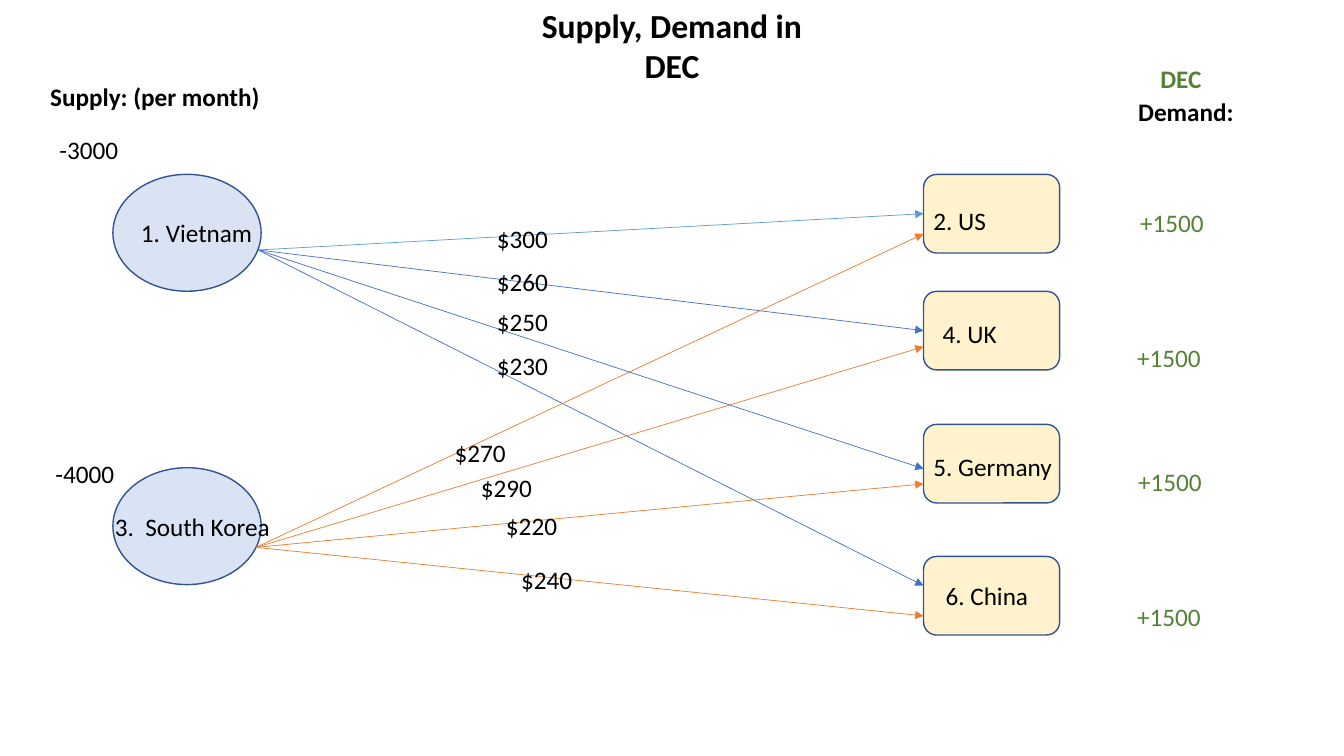
from collections import namedtuple

from lxml.etree import SubElement
from pptx import Presentation
from pptx.dml.color import RGBColor
from pptx.enum.shapes import MSO_CONNECTOR as Connector, MSO_SHAPE as Shape
from pptx.enum.text import MSO_AUTO_SIZE as AutoSize, PP_ALIGN as Align
from pptx.oxml.ns import qn
from pptx.util import Inches, Pt

Box = namedtuple("Box", "left top width height")

COLORS = {
    "text": "000000", "demand": "548235", "outline": "325491",
    "supplier": "DAE3F3", "market": "FFF2CC",
    "light_blue": "5B9BD5", "blue": "4472C4", "orange": "ED7D31",
}
LABEL_HEIGHT = 0.4

# Node name, name offset in the node, quantity, quantity offset from the node, node top
SUPPLIERS = [
    ("1. Vietnam", (0.18, 0.38), "-3000", (-0.63, -0.45), 0.97),
    ("3.  South Korea", (-0.08, 0.38), "-4000", (-0.67, -0.14), 3.88),
]
MARKETS = [
    ("2. US", (0, 0.26), "+1500", (2.05, 0.28), 1.15),
    ("4. UK", (0.09, 0.22), "+1500", (2.02, 0.46), 2.31),
    ("5. Germany", (0, 0.22), "+1500", (2.03, 0.37), 3.63),
    ("6. China", (0.12, 0.19), "+1500", (2.02, 0.4), 4.94),
]
# Points on the rims of the supplier ovals, from the corner of the routes
VIETNAM, SOUTH_KOREA = (0.02, 0.36), (0, 3.31)
# Start, height of the end on the market edge, colour, cost, cost position
ROUTES = [
    (VIETNAM, 0, "light_blue", "$300", (2.29, 0.05)),
    (VIETNAM, 1.16, "blue", "$260", (2.29, 0.47)),
    (VIETNAM, 2.53, "blue", "$250", (2.29, 0.87)),
    (VIETNAM, 3.69, "blue", "$230", (2.29, 1.31)),
    (SOUTH_KOREA, 0.2, "orange", "$270", (1.87, 2.17)),
    (SOUTH_KOREA, 1.32, "orange", "$290", (2.13, 2.52)),
    (SOUTH_KOREA, 2.68, "orange", "$220", (2.38, 2.89)),
    (SOUTH_KOREA, 3.99, "orange", "$240", (2.53, 3.43)),
]


def rgb(name):
    return RGBColor.from_string(COLORS[name])


def add_label(slide, box, text, color="text", size=18, bold=False, align=Align.LEFT):
    frame = slide.shapes.add_textbox(*map(Inches, box)).text_frame
    frame.word_wrap = True
    frame.auto_size = AutoSize.SHAPE_TO_FIT_TEXT
    paragraph = frame.paragraphs[0]
    paragraph.text = text
    paragraph.alignment = align
    font = paragraph.font
    font.name, font.size, font.bold = "Calibri", Pt(size), bold
    font.color.rgb = rgb(color)


def add_node(slide, box, outline, fill):
    node = slide.shapes.add_shape(outline, *map(Inches, box))
    node.shadow.inherit = False
    node.fill.solid()
    node.fill.fore_color.rgb = rgb(fill)
    node.line.color.rgb = rgb("outline")
    node.line.width = Pt(1)


def add_arrow(slide, start, end, color):
    arrow = slide.shapes.add_connector(Connector.STRAIGHT, *map(Inches, start + end))
    arrow.line.color.rgb = rgb(color)
    arrow.line.width = Pt(0.5)
    properties = arrow._element.spPr
    SubElement(properties.find(qn("a:ln")), qn("a:tailEnd"), type="triangle")
    SubElement(properties, qn("a:effectLst"))


def add_supply(slide, box):
    add_label(slide, Box(box.left, box.top, box.width, LABEL_HEIGHT),
              "Supply: (per month)", bold=True)
    left = box.left + 0.72
    for name, (name_x, name_y), quantity, (x, y), offset in SUPPLIERS:
        top = box.top + offset
        add_node(slide, Box(left, top, 1.47, 1.16), Shape.OVAL, "supplier")
        add_label(slide, Box(left + name_x, top + name_y, 3.37, LABEL_HEIGHT), name)
        add_label(slide, Box(left + x, top + y, 2.09, LABEL_HEIGHT), quantity)


def add_demand(slide, box):
    add_label(slide, Box(box.left + 2.25, box.top, 1.72, LABEL_HEIGHT),
              "DEC", "demand", bold=True)
    add_label(slide, Box(box.left + 2.03, box.top + 0.33, 1.44, LABEL_HEIGHT),
              "Demand:", bold=True)
    for name, (name_x, name_y), quantity, (x, y), offset in MARKETS:
        top = box.top + offset
        add_node(slide, Box(box.left, top, 1.35, 0.78), Shape.ROUNDED_RECTANGLE, "market")
        add_label(slide, Box(box.left + name_x, top + name_y, 3.37, LABEL_HEIGHT), name)
        add_label(slide, Box(box.left + x, top + y, 1.7, LABEL_HEIGHT), quantity, "demand")


def add_routes(slide, box):
    """Run each arrow from a supplier's rim to the box's right side, where the markets begin."""
    def place(point):
        return box.left + point[0], box.top + point[1]

    for start, end_y, color, _, _ in ROUTES:
        add_arrow(slide, place(start), place((box.width, end_y)), color)
    for _, _, _, cost, corner in ROUTES:
        add_label(slide, Box(*place(corner), 0.85, LABEL_HEIGHT), cost)


def main():
    deck = Presentation()
    deck.slide_width, deck.slide_height = Inches(13.33), Inches(7.5)
    slide = deck.slides.add_slide(deck.slide_layouts[6])
    add_label(slide, Box(4.98, 0, 3.37, 0.91), "Supply, Demand in DEC",
              size=24, bold=True, align=Align.CENTER)
    add_supply(slide, Box(0.4, 0.76, 2.43, 5.04))
    add_demand(slide, Box(9.16, 0.58, 3.97, 6.05))
    add_routes(slide, Box(2.54, 2.12, 6.62, 3.99))
    deck.save("out.pptx")


if __name__ == "__main__":
    main()
